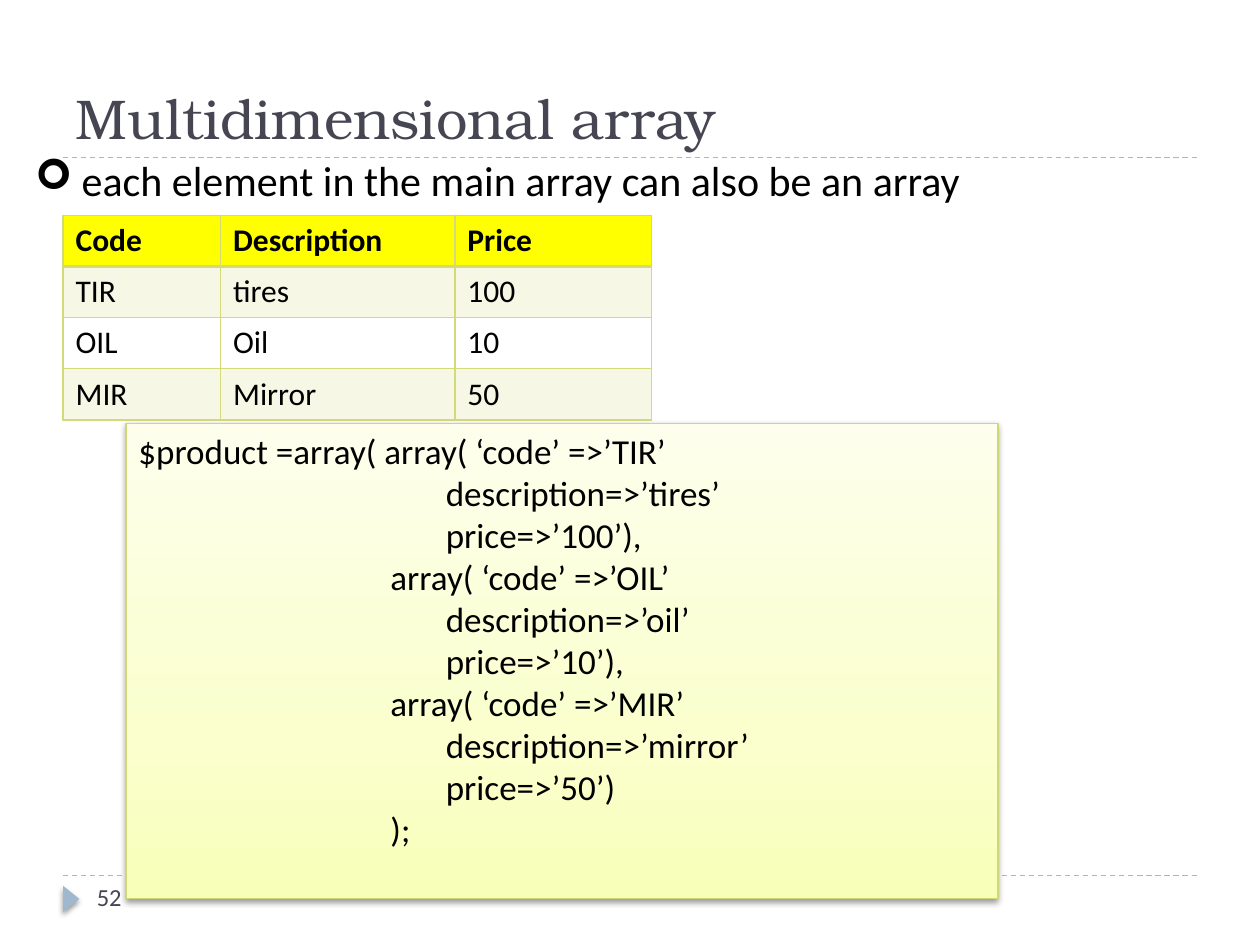
from lxml.etree import SubElement
from pptx import Presentation
from pptx.dml.color import RGBColor
from pptx.enum.dml import MSO_LINE_DASH_STYLE as Dash
from pptx.enum.shapes import MSO_CONNECTOR as Connector, MSO_SHAPE as Shape
from pptx.enum.text import MSO_ANCHOR as Anchor, PP_ALIGN as Align
from pptx.oxml.ns import qn
from pptx.util import Inches, Pt

GRID_COLUMNS, GRID_ROWS = 20, 15
CELL = Inches(0.5)
BODY_FONT, TITLE_FONT = "Calibri", "TeX Gyre Bonum"

BLACK = RGBColor(0, 0, 0)
SLATE = RGBColor(0x46, 0x46, 0x53)
BLUE = RGBColor(0x9F, 0xB8, 0xCD)
YELLOW = RGBColor(0xFF, 0xFF, 0x00)
OLIVE = RGBColor(0xD2, 0xDA, 0x7A)
CODE_EDGE = RGBColor(0xCF, 0xD8, 0x75)
CODE_STOPS = [
    (0, RGBColor(0xF8, 0xFF, 0xB9)),
    (35, RGBColor(0xFA, 0xFF, 0xCD)),
    (100, RGBColor(0xFD, 0xFF, 0xEC)),
]

PRODUCTS = [
    ("Code", "Description", "Price"),
    ("TIR", "tires", "100"),
    ("OIL", "Oil", "10"),
    ("MIR", "Mirror", "50"),
]
CODE_INDENTS = [0, 2, 2.44]
CODE_LINES = [
    (0, "$product =array( array( ‘code’ =>’TIR’"),
    (2, "description=>’tires’"),
    (2, "price=>’100’),"),
    (1, "array( ‘code’ =>’OIL’"),
    (2, "description=>’oil’"),
    (2, "price=>’10’),"),
    (1, "array( ‘code’ =>’MIR’"),
    (2, "description=>’mirror’"),
    (2, "price=>’50’)"),
    (1, ");"),
]


def place(*cells):
    return [int(CELL * count) for count in cells]


def add_span(para, text, size, color=BLACK, font=BODY_FONT, bold=False):
    span = para.add_run()
    span.text = text
    span.font.size = Pt(size)
    span.font.name = font
    span.font.bold = bold
    span.font.color.rgb = color


def set_indent(para, left, first=0):
    props = para._p.get_or_add_pPr()
    props.set("marL", str(Inches(left)))
    props.set("indent", str(Inches(first)))
    return props


def add_color(parent, color, alpha=None):
    node = SubElement(parent, qn("a:srgbClr"), val=str(color))
    if alpha is not None:
        SubElement(node, qn("a:alpha"), val=str(alpha * 1000))


def add_shadow(shape):
    shape.shadow.inherit = False
    effects = shape._element.spPr.find(qn("a:effectLst"))
    outer = SubElement(
        effects, qn("a:outerShdw"), blurRad=str(Pt(3)), dist=str(Pt(2)),
        dir="5400000", rotWithShape="0",
    )
    add_color(outer, BLACK, 40)


def add_title(page, text):
    title = page.shapes.title
    title.left, title.top, title.width, title.height = place(1, 0.34, 18, 2.16)
    title.text_frame.vertical_anchor = Anchor.BOTTOM
    para = title.text_frame.paragraphs[0]
    para.alignment = Align.LEFT
    add_span(para, text, 32, SLATE, TITLE_FONT)


def add_rule(page, row):
    rule = page.shapes.add_connector(
        Connector.STRAIGHT, *place(1, row, GRID_COLUMNS - 1, row))
    rule.line.color.rgb = BLUE
    rule.line.width = Pt(0.75)
    rule.line.dash_style = Dash.DASH
    SubElement(rule._element.spPr, qn("a:effectLst"))


def add_marker(page):
    marker = page.shapes.add_shape(
        Shape.ISOSCELES_TRIANGLE, *place(0.92, 14.14, 0.42, 0.26))
    marker.rotation = 90
    marker.fill.solid()
    marker.fill.fore_color.rgb = BLUE
    marker.line.fill.background()
    add_shadow(marker)


def add_text(page, cells, text, size, color=BLACK):
    box = page.shapes.add_textbox(*place(*cells))
    box.text_frame.word_wrap = True
    para = box.text_frame.paragraphs[0]
    add_span(para, text, size, color)
    return para


def add_bullet(para):
    props = set_indent(para, 0.38, -0.37)
    add_color(SubElement(props, qn("a:buClr")), BLACK)
    SubElement(props, qn("a:buFont"), typeface="Wingdings")
    SubElement(props, qn("a:buChar"), char="➢")


def add_borders(cell, widths):
    props = cell._tc.get_or_add_tcPr()
    for side, width in zip("LRTB", widths):
        line = SubElement(props, qn(f"a:ln{side}"), w=str(Pt(width)))
        add_color(SubElement(line, qn("a:solidFill")), OLIVE)


def fill_cell(cell, row):
    if row == 2:
        cell.fill.background()
        return
    cell.fill.solid()
    cell.fill.fore_color.rgb = OLIVE if row else YELLOW
    if row:
        color = cell._tc.tcPr.find(f"{qn('a:solidFill')}/{qn('a:srgbClr')}")
        SubElement(color, qn("a:alpha"), val="20000")


def add_products(page):
    frame = page.shapes.add_table(
        len(PRODUCTS), len(PRODUCTS[0]), *place(1, 3.42, 9.34, 3.24))
    table = frame.table
    table.horz_banding = False
    for column, width in zip(table.columns, place(2.5, 3.72, 3.12)):
        column.width = width
    for row, values in enumerate(PRODUCTS):
        top, bottom = (2 if row == 1 else 1), (2 if row == 0 else 1)
        for column, value in enumerate(values):
            cell = table.cell(row, column)
            add_borders(cell, (1, 1, top, bottom))
            fill_cell(cell, row)
            add_span(cell.text_frame.paragraphs[0], value, 18, bold=row == 0)


def fill_gradient(shape, stops):
    shape.fill.gradient()
    shape.fill.gradient_angle = 90
    stop_list = shape._element.spPr.find(f"{qn('a:gradFill')}/{qn('a:gsLst')}")
    for stop in list(stop_list):
        stop_list.remove(stop)
    for position, color in stops:
        add_color(SubElement(stop_list, qn("a:gs"), pos=str(position * 1000)), color)


def add_code(page):
    box = page.shapes.add_shape(Shape.RECTANGLE, *place(2, 6.72, 13.84, 7.54))
    fill_gradient(box, CODE_STOPS)
    box.line.color.rgb = CODE_EDGE
    box.line.width = Pt(0.75)
    add_shadow(box)
    frame = box.text_frame
    frame.word_wrap = True
    frame.vertical_anchor = Anchor.TOP
    for index, (level, text) in enumerate(CODE_LINES):
        para = frame.add_paragraph() if index else frame.paragraphs[0]
        para.alignment = Align.LEFT
        set_indent(para, CODE_INDENTS[level])
        add_span(para, text, 20)


def main():
    deck = Presentation()
    deck.slide_width, deck.slide_height = place(GRID_COLUMNS, GRID_ROWS)
    page = deck.slides.add_slide(deck.slide_layouts[5])
    for row in (13.9, 2.5):
        add_rule(page, row)
    add_marker(page)
    add_title(page, "Multidimensional array")
    add_products(page)
    add_text(page, (1.34, 13.9, 4.34, 0.8), "52", 14, SLATE)
    add_code(page)
    add_bullet(add_text(page, (0.34, 2.36, 19.66, 1.8),
                        "each element in the main array can also be an array", 24))
    deck.save("out.pptx")


if __name__ == "__main__":
    main()
